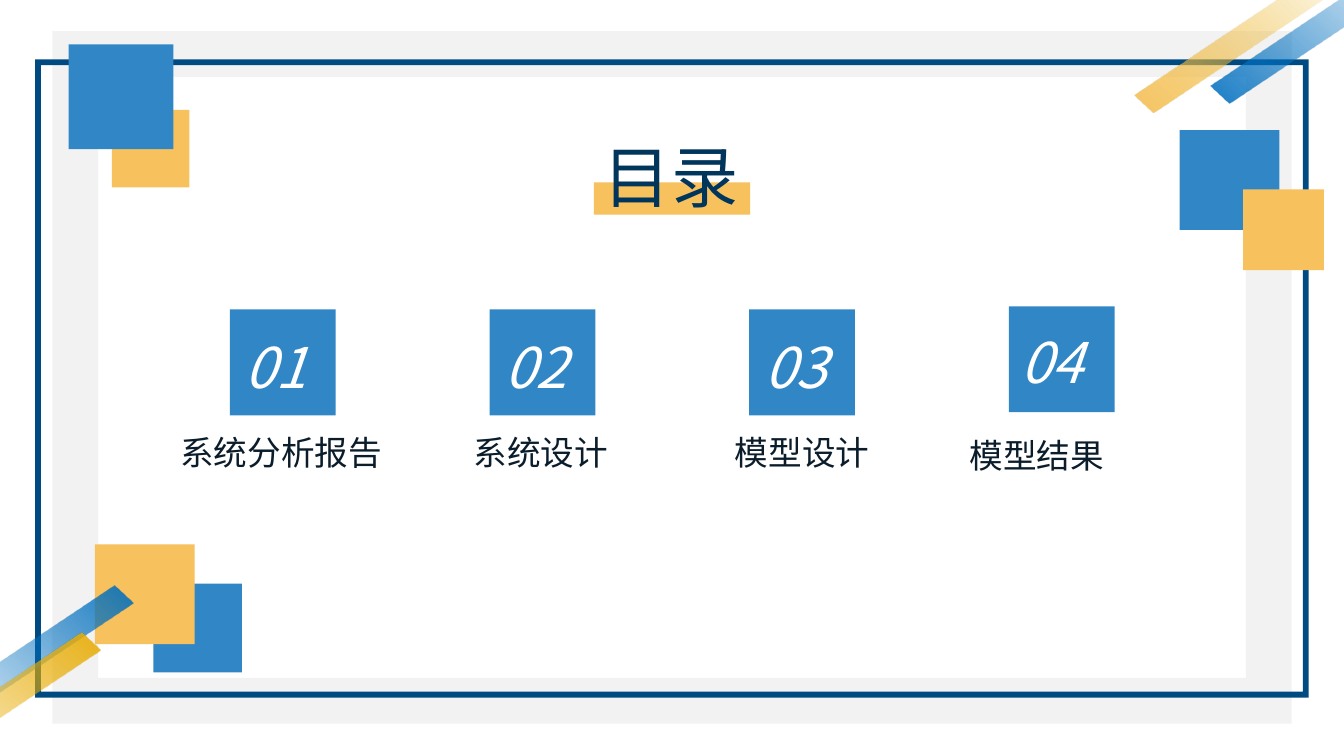
"""Build the contents slide with four numbered sections."""
from lxml import etree
from pptx import Presentation, util as u
from pptx.dml.color import RGBColor
from pptx.enum import shapes, text
from pptx.oxml.ns import qn

FONT = "Noto Sans CJK SC"
COLORS = {
    "grey": "F2F2F2", "navy": "004A82", "blue": "3187C6", "yellow": "F7C15D",
    "deep blue": "0070C0", "amber": "E9AC01", "title": "00355C",
    "label": "0B1D2B", "white": "FFFFFF",
}
HEADING = "目录"
HEADING_BOX = (5.89, 1.29, 1.55, 0.91)
HEADING_BAR = (5.89, 1.81, 1.55, 0.32)
FRAMES = [
    ((0.52, 0.31, 12.29, 6.87), 0.066, "grey"),
    ((0.35, 0.59, 12.63, 6.33), 0.009, "navy"),
]
BACK_SQUARES = [
    (11.7, 1.29, 0.99, "blue"), (1.11, 1.09, 0.77, "yellow"),
    (1.52, 5.79, 0.88, "blue"), (0.68, 0.44, 1.04, "blue"),
    (0.94, 5.4, 0.99, "yellow"),
]
FRONT_SQUARE = (12.33, 1.88, 0.8, "yellow")
STRIPES = [
    (-1.83, 6.55, 312.9, "deep blue", "deep blue"),
    (-2.16, 7.02, 312.9, "amber", "amber"),
    (11.76, -0.53, 132.9, "deep blue", "deep blue"),
    (11.01, -0.44, 132.9, "yellow", "amber"),
]
SECTIONS = [
    {"label": "系统分析报告", "label_box": (1.69, 4.24, 2.51, 0.5), "top": 3.07, "shift": (0.05, 0.18)},
    {"label": "系统设计", "label_box": (4.6, 4.24, 2.47, 0.5), "top": 3.07, "shift": (0.05, 0.18)},
    {"label": "模型设计", "label_box": (7.19, 4.24, 1.53, 0.5), "top": 3.07, "shift": (0.05, 0.18)},
    {"label": "模型结果", "label_box": (9.52, 4.27, 1.53, 0.5), "top": 3.04, "shift": (0.02, 0.16)},
]
FIRST_LEFT, COLUMN_STEP, TILE = 2.28, 2.575, 1.05


def rgb(name):
    return RGBColor.from_string(COLORS[name])


def inches(box):
    return [u.Inches(length) for length in box]


def add_block(slide, kind, box, color):
    block = slide.shapes.add_shape(kind, *inches(box))
    block.shadow.inherit = False
    block.line.fill.background()
    block.fill.solid()
    block.fill.fore_color.rgb = rgb(color)
    return block


def add_square(slide, left, top, side, color):
    add_block(slide, shapes.MSO_SHAPE.RECTANGLE, (left, top, side, side), color)


def add_stripe(slide, left, top, rotation, start, end):
    stripe = add_block(slide, shapes.MSO_SHAPE.DIAGONAL_STRIPE, (left, top, 3.4, 0.81), start)
    stripe.adjustments[0] = 0.678
    stripe.rotation = rotation
    stripe._element.spPr.find(qn("a:xfrm")).set("flipH", "1")
    stripe.fill.gradient()
    stripe.fill.gradient_angle = 0
    for stop, position, color in zip(stripe.fill.gradient_stops, (0, 0.68), (start, end)):
        stop.position = position
        stop.color.rgb = rgb(color)
    faded = stripe._element.spPr.findall(".//" + qn("a:srgbClr"))[-1]
    etree.SubElement(faded, qn("a:alpha")).set("val", "0")


def write(box, words, size, color, italic=None):
    frame = box.text_frame
    frame.text = words
    frame.word_wrap = False
    frame.auto_size = text.MSO_AUTO_SIZE.SHAPE_TO_FIT_TEXT
    frame.vertical_anchor = text.MSO_ANCHOR.TOP
    paragraph = frame.paragraphs[0]
    paragraph.alignment = text.PP_ALIGN.LEFT
    font = paragraph.font
    font.size, font.italic, font.name = u.Pt(size), italic, FONT
    font.color.rgb = rgb(color)
    defaults = paragraph._p.pPr.find(qn("a:defRPr"))
    etree.SubElement(defaults, qn("a:ea")).set("typeface", FONT)


def add_section(slide, index, section):
    left, top = FIRST_LEFT + index * COLUMN_STEP, section["top"]
    right_shift, down_shift = section["shift"]
    label = slide.shapes.add_textbox(*inches(section["label_box"]))
    write(label, section["label"], 24, "label")
    add_square(slide, left, top, TILE, "blue")
    number = slide.shapes.add_textbox(*inches((left + right_shift, top + down_shift, 0.86, 0.77)))
    write(number, f"{index + 1:02d}", 40, "white", True)


def main():
    deck = Presentation()
    deck.slide_width, deck.slide_height = u.Inches(13.33), u.Inches(7.5)
    slide = deck.slides.add_slide(deck.slide_layouts[5])
    for box, thickness, color in FRAMES:
        border = add_block(slide, shapes.MSO_SHAPE.FRAME, box, color)
        border.adjustments[0] = thickness
    for square in BACK_SQUARES:
        add_square(slide, *square)
    for stripe in STRIPES:
        add_stripe(slide, *stripe)
    add_square(slide, *FRONT_SQUARE)
    add_block(slide, shapes.MSO_SHAPE.RECTANGLE, HEADING_BAR, "yellow")

    heading = slide.shapes.title
    heading.left, heading.top, heading.width, heading.height = inches(HEADING_BOX)
    write(heading, HEADING, 48, "title")
    slide.shapes._spTree.append(heading._element)

    for index, section in enumerate(SECTIONS):
        add_section(slide, index, section)
    deck.save("out.pptx")


if __name__ == "__main__":
    main()
